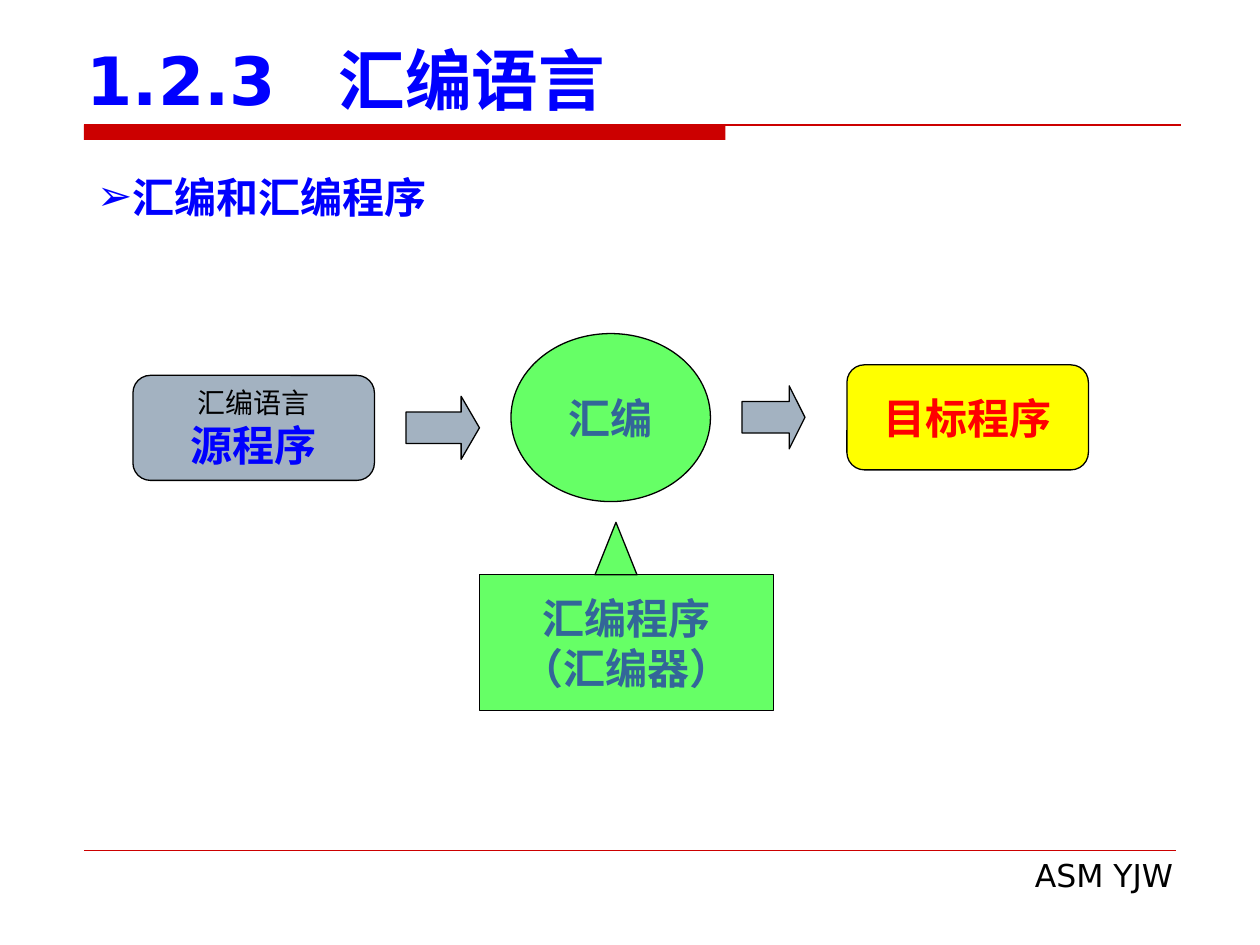
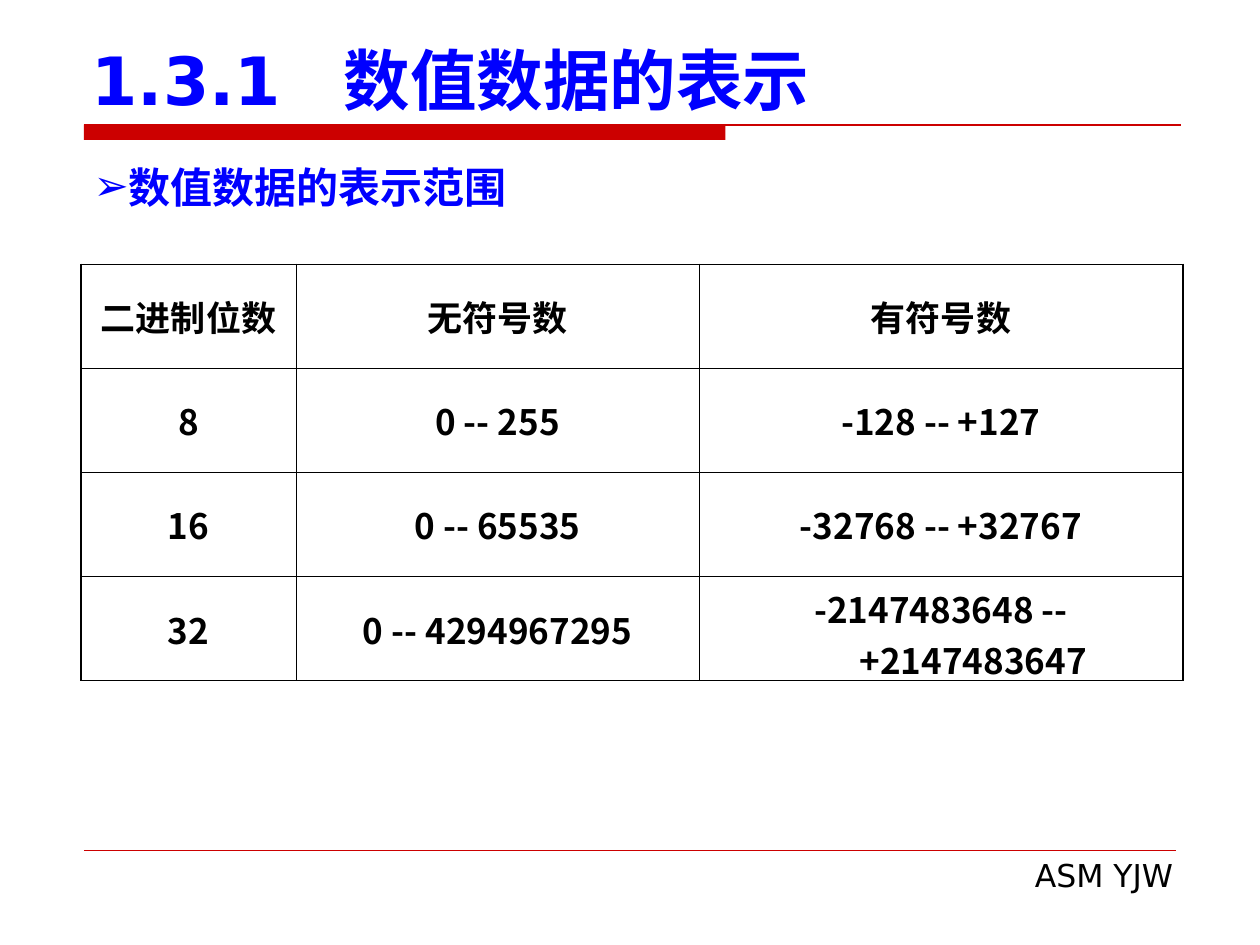
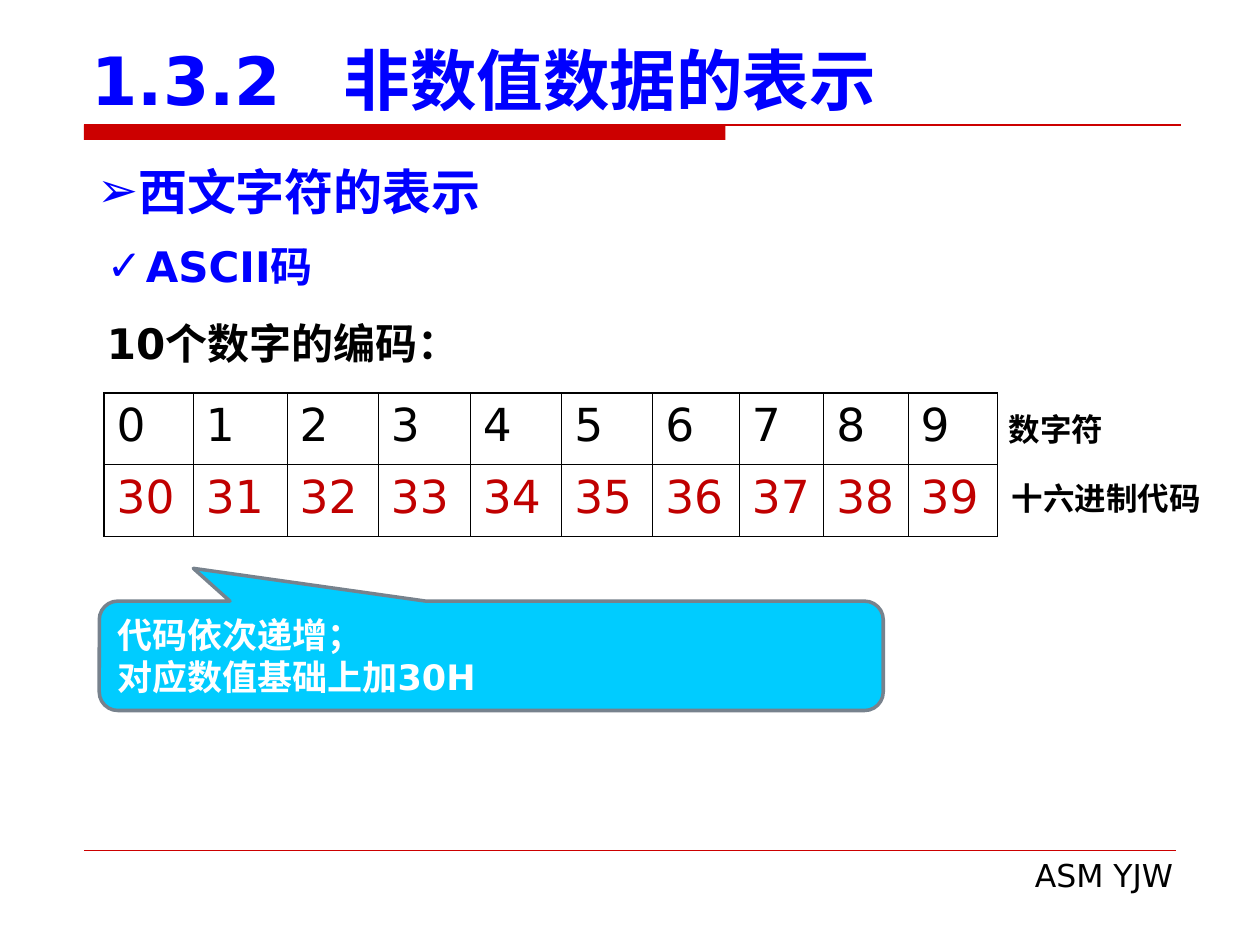
from lxml import etree
from pptx import Presentation
from pptx.dml.color import RGBColor
from pptx.enum import shapes, text
from pptx.oxml import ns
from pptx.util import Pt

BLACK = RGBColor(0, 0, 0)
WHITE = RGBColor(255, 255, 255)
BLUE = RGBColor(0, 0, 255)
RED = RGBColor(255, 0, 0)
BAND_RED = RGBColor(0xCC, 0, 0)
CODE_RED = RGBColor(0xC0, 0, 0)
GREEN = RGBColor(0x66, 0xFF, 0x66)
STEEL = RGBColor(0x33, 0x66, 0x99)
GREY = RGBColor(0xA3, 0xB2, 0xC1)
DARK_GREY = RGBColor(0x77, 0x82, 0x8D)
YELLOW = RGBColor(255, 255, 0)
CYAN = RGBColor(0, 0xCC, 0xFF)

SANS, SERIF, CJK = "DejaVu Sans", "Times New Roman", "Noto Sans CJK SC"
ALIGN, ANCHOR, SHAPE = text.PP_ALIGN, text.MSO_ANCHOR, shapes.MSO_SHAPE


class Deck:
    """Holds the shared style and the slide being built."""

    def __init__(self):
        self.prs = Presentation()
        self.prs.slide_width, self.prs.slide_height = Pt(720), Pt(540)
        self.s = None

    def slide(self, number, title, left=45.36):
        self.s = self.prs.slides.add_slide(self.prs.slide_layouts[6])
        self.shape(SHAPE.RECTANGLE, (48, 71.25, 366.5, 8.75), BAND_RED, line=None)
        self.line(48, 675, 71.5, 0.75)
        self.line(48, 672, 486, 0.25)
        self.box((275, 485.5, 402.5, 29), [("ASM YJW", {"size": 18})], align=ALIGN.RIGHT)
        tf = self.box((left, 20, 640, 51.5),
                      [(f"{number}\t{title}", {"size": 38, "bold": True, "color": BLUE})],
                      grow=False, tab=145)
        self.apply(tf, {"vertical_anchor": ANCHOR.BOTTOM, "margin_left": Pt(7),
                        "margin_top": 0, "margin_bottom": Pt(3.75)})

    def apply(self, obj, values):
        for key, value in values.items():
            setattr(obj, key, value)

    def line(self, x1, x2, y, width):
        sp = self.s.shapes.add_connector(
            shapes.MSO_CONNECTOR.STRAIGHT, Pt(x1), Pt(y), Pt(x2), Pt(y))
        sp.line.color.rgb, sp.line.width = BAND_RED, Pt(width)
        etree.SubElement(sp._element.spPr, ns.qn("a:effectLst"))

    def fill_text(self, tf, paras, align=ALIGN.LEFT, bullet=None, indent=0, before=0, tab=None):
        for i, (words, fmt) in enumerate(paras):
            p = tf.paragraphs[0] if i == 0 else tf.add_paragraph()
            pPr = p._p.get_or_add_pPr()
            pPr.set("marL", str(Pt(indent)))
            pPr.set("indent", str(-Pt(indent)))
            p.alignment = align
            if i and before:
                p.space_before = Pt(before)
            if bullet and i == 0:
                clr = etree.SubElement(pPr, ns.qn("a:buClr"))
                etree.SubElement(clr, ns.qn("a:srgbClr"), val=str(BLUE))
                etree.SubElement(pPr, ns.qn("a:buFont"), typeface=SANS)
                etree.SubElement(pPr, ns.qn("a:buChar"), char=bullet)
            if tab:
                tabs = etree.SubElement(pPr, ns.qn("a:tabLst"))
                etree.SubElement(tabs, ns.qn("a:tab"), pos=str(Pt(tab)), algn="l")
            r = p.add_run()
            r.text = words
            name = fmt.get("name", SANS)
            self.apply(r.font, {"name": name, "size": Pt(fmt["size"]),
                                "bold": fmt.get("bold", False)})
            r.font.color.rgb = fmt.get("color", BLACK)
            etree.SubElement(r.font._element, ns.qn("a:ea"),
                             typeface=CJK if name == CJK else SANS)

    def box(self, at, paras, grow=True, **layout):
        tf = self.s.shapes.add_textbox(*map(Pt, at)).text_frame
        size = text.MSO_AUTO_SIZE
        self.apply(tf, {"word_wrap": True,
                        "auto_size": size.SHAPE_TO_FIT_TEXT if grow else size.NONE})
        self.fill_text(tf, paras, **layout)
        return tf

    def heading(self, at, words, size=24):
        self.box(at, [(words, {"size": size, "bold": True, "color": BLUE})], bullet="➢")

    def shape(self, kind, at, fill, line=BLACK, width=0.75, paras=(), adj=(),
              wrap=False, align=ALIGN.CENTER):
        sp = self.s.shapes.add_shape(kind, *map(Pt, at))
        sp.shadow.inherit = False
        sp.fill.solid()
        sp.fill.fore_color.rgb = fill
        if line is None:
            sp.line.fill.background()
        else:
            sp.line.color.rgb, sp.line.width = line, Pt(width)
        for i, value in enumerate(adj):
            sp.adjustments[i] = value
        if paras:
            self.apply(sp.text_frame, {"word_wrap": wrap, "vertical_anchor": ANCHOR.MIDDLE})
            self.fill_text(sp.text_frame, paras, align=align)

    def border(self, cell, widths):
        tcPr = cell._tc.get_or_add_tcPr()
        for i, (side, width) in enumerate(zip("LRTB", widths)):
            ln = etree.Element(ns.qn(f"a:ln{side}"), w=str(Pt(width)))
            fill = etree.SubElement(ln, ns.qn("a:solidFill"))
            etree.SubElement(fill, ns.qn("a:srgbClr"), val=str(BLACK))
            tcPr.insert(i, ln)

    def table(self, at, cols, row_height, rows, fmts, v_lines, h_lines,
              anchor=ANCHOR.TOP, **layout):
        size = sum(cols), row_height * len(rows)
        tbl = self.s.shapes.add_table(len(rows), len(cols), *map(Pt, at + size)).table
        for col, width in zip(tbl.columns, cols):
            col.width = Pt(width)
        for i, (row, fmt) in enumerate(zip(rows, fmts)):
            tbl.rows[i].height = Pt(row_height)
            for j, words in enumerate(row):
                cell = tbl.cell(i, j)
                cell.fill.background()
                cell.vertical_anchor = anchor
                self.border(cell, (v_lines[j], v_lines[j + 1], h_lines[i], h_lines[i + 1]))
                self.fill_text(cell.text_frame, [(words, fmt)], **layout)


def assembly_slide(d):
    d.slide("1.2.3", "汇编语言", left=42.5)
    d.heading((48.5, 94.3, 623.5, 36), "汇编和汇编程序")
    strong = {"size": 24, "bold": True, "name": SERIF}
    steel = {**strong, "color": STEEL}
    d.shape(SHAPE.OVAL, (292, 190.6, 114, 96), GREEN, paras=[("汇编", steel)])
    d.shape(SHAPE.RIGHT_ARROW, (232, 226.5, 42, 36), GREY, adj=(0.5, 0.29))
    d.shape(SHAPE.RIGHT_ARROW, (424, 220.5, 36, 36), GREY, adj=(0.5, 0.25))
    d.shape(SHAPE.FLOWCHART_ALTERNATE_PROCESS, (76, 214.5, 138, 60), GREY,
            paras=[("汇编语言", {"size": 16, "name": SERIF}),
                   ("源程序", {**strong, "color": BLUE})])
    d.shape(SHAPE.FLOWCHART_ALTERNATE_PROCESS, (484, 208.5, 138, 60), YELLOW,
            paras=[("目标程序", {**strong, "color": RED})])
    d.shape(SHAPE.RECTANGLE, (274, 328.5, 168, 77.5), GREEN,
            paras=[("汇编程序", steel), ("（汇编器）", steel)])
    d.shape(SHAPE.ISOSCELES_TRIANGLE, (340, 298.5, 24, 30), GREEN)


def range_slide(d):
    d.slide("1.3.1", "数值数据的表示")
    d.heading((46.5, 88.5, 623.5, 36), "数值数据的表示范围")
    rows = [("二进制位数", "无符号数", "有符号数"),
            ("8", "0 -- 255", "-128 -- +127"),
            ("16", "0 -- 65535", "-32768 -- +32767"),
            ("32", "0 -- 4294967295", "-2147483648 -- +2147483647")]
    fmt = {"size": 20, "bold": True, "name": CJK}
    d.table((46.25, 151), (123, 230.25, 276.5), 59.5, rows, [fmt] * len(rows),
            v_lines=(0.96, 0.45, 0.45, 0.96), h_lines=(0.96, 0.96, 0.45, 0.45, 0.96),
            anchor=ANCHOR.MIDDLE, align=ALIGN.CENTER, indent=36.75)


def ascii_slide(d):
    d.slide("1.3.2", "非数值数据的表示")
    digits = range(10)
    d.table((59.5, 224.5), (51, 53.5, 52.25, 52.5, 52.25, 52, 49.5, 48.25, 48.25, 51), 41,
            [[str(n) for n in digits], [f"{0x30 + n:X}" for n in digits]],
            [{"size": 26}, {"size": 26, "color": CODE_RED}],
            v_lines=[1.08] + [0.45] * 10, h_lines=(1.08, 0.45, 0.45))
    bold = {"size": 24, "bold": True}
    d.box((54, 134, 646.5, 80), [("ASCII码", {**bold, "color": BLUE}), ("10个数字的编码：", bold)],
          bullet="✓", indent=22.3, before=15)
    d.heading((48.5, 88.5, 623.5, 41), "西文字符的表示", size=28)
    label = {"size": 18, "bold": True}
    d.box((569.5, 230.5, 96.5, 29), [("数字符", label)])
    d.box((571, 270, 142, 29), [("十六进制代码", label)])
    note = {"size": 20, "bold": True, "color": WHITE}
    d.shape(SHAPE.ROUNDED_RECTANGULAR_CALLOUT, (56.75, 343.5, 448, 62.5), CYAN, DARK_GREY, 2,
            [("代码依次递增；", note), ("对应数值基础上加30H", note)],
            adj=(-0.38, -0.8, 0.17), wrap=True, align=ALIGN.LEFT)


def main():
    d = Deck()
    for build in (assembly_slide, range_slide, ascii_slide):
        build(d)
    d.prs.save("out.pptx")


if __name__ == "__main__":
    main()
